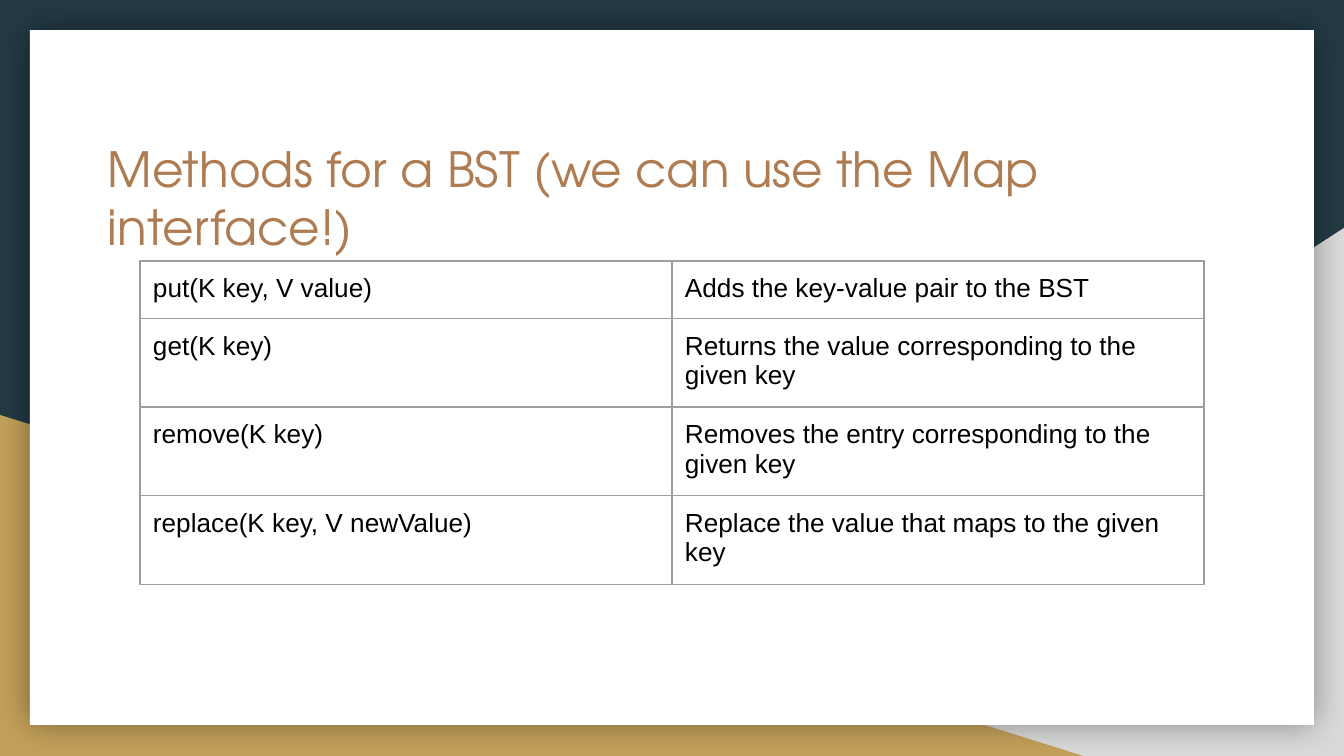
"""Build a slide that lists the map methods of a binary search tree."""
from dataclasses import dataclass

from lxml.etree import SubElement
from pptx import Presentation
from pptx.dml.color import RGBColor
from pptx.enum.shapes import MSO_SHAPE
from pptx.enum.text import MSO_ANCHOR
from pptx.oxml import parse_xml
from pptx.oxml.ns import nsdecls, qn
from pptx.slide import Slide
from pptx.util import Emu, Pt

SCALE = 914400 / 134.4
INSET = 13
GREY = "9E9E9E"
TITLE = {"name": "TeX Gyre Adventor", "size": Pt(26), "bold": False}
BODY = {"name": "Arial", "size": Pt(14), "bold": False}


@dataclass(frozen=True)
class Box:
    """Place on the slide, in pixels."""
    left: int
    top: int
    width: int
    height: int


@dataclass(frozen=True)
class Panel:
    """Filled shape of the backdrop."""
    kind: MSO_SHAPE
    box: Box
    fill: str
    flip: bool = False
    glow: bool = False


@dataclass(frozen=True)
class Method:
    """Table row with a call and its meaning."""
    call: str
    note: str
    height: int = 87


PANELS = (
    Panel(MSO_SHAPE.RIGHT_TRIANGLE, Box(527, 228, 817, 528), "D9D9D9", flip=True),
    Panel(MSO_SHAPE.RIGHT_TRIANGLE, Box(0, 415, 1083, 341), "C4A15A"),
    Panel(MSO_SHAPE.RECTANGLE, Box(30, 30, 1284, 695), "FFFFFF", glow=True),
)
METHODS = (
    Method("put(K key, V value)", "Adds the key-value pair to the BST", 57),
    Method("get(K key)", "Returns the value corresponding to the given key"),
    Method("remove(K key)", "Removes the entry corresponding to the given key"),
    Method("replace(K key, V newValue)", "Replace the value that maps to the given key"),
)


def px(count: int) -> Emu:
    """Turn pixels into EMU."""
    return Emu(round(count * SCALE))


def place(box: Box) -> tuple[Emu, ...]:
    """Give the four lengths of a box in EMU."""
    return tuple(map(px, (box.left, box.top, box.width, box.height)))


def tint(code: str) -> RGBColor:
    """Turn a hex string into a colour."""
    return RGBColor.from_string(code)


def assign(target, values: dict) -> None:
    """Set each named value on the target."""
    for name, value in values.items():
        setattr(target, name, value)


def write(frame, text: str, form: dict, code: str) -> None:
    """Fill a text frame with one styled run."""
    sides = ("left", "right", "top", "bottom")
    assign(frame, {f"margin_{side}": px(INSET) for side in sides})
    frame.word_wrap = True
    run = frame.paragraphs[0].add_run()
    run.text = text
    assign(run.font, form)
    run.font.color.rgb = tint(code)


def shade(shape) -> None:
    """Put a soft black shadow around a shape."""
    props = shape._element.spPr
    effect = props.find(qn("a:effectLst"))
    outer = SubElement(effect, qn("a:outerShdw"), blurRad=str(Pt(18)), dist="0",
                       dir="0", algn="ctr", rotWithShape="0")
    color = SubElement(outer, qn("a:srgbClr"), val="000000")
    SubElement(color, qn("a:alpha"), val="40000")


def draw(slide: Slide, panel: Panel) -> None:
    """Draw one panel of the backdrop."""
    shape = slide.shapes.add_shape(panel.kind, *place(panel.box))
    shape.shadow.inherit = False
    shape.fill.solid()
    shape.fill.fore_color.rgb = tint(panel.fill)
    shape.line.fill.background()
    if panel.flip:
        shape._element.spPr.find(qn("a:xfrm")).set("flipH", "1")
    if panel.glow:
        shade(shape)


def frame(cell) -> None:
    """Give a cell four thin grey borders."""
    props = cell._tc.get_or_add_tcPr()
    for spot, side in enumerate("LRTB"):
        props.insert(spot, parse_xml(
            f'<a:ln{side} {nsdecls("a")} w="{Pt(0.75)}"><a:solidFill>'
            f'<a:srgbClr val="{GREY}"/></a:solidFill></a:ln{side}>'))


def head(slide: Slide, text: str) -> None:
    """Write the slide title."""
    area = slide.shapes.add_textbox(*place(Box(95, 126, 1153, 140))).text_frame
    area.vertical_anchor = MSO_ANCHOR.TOP
    write(area, text, TITLE, "AF7B51")


def grid(slide: Slide, methods: tuple[Method, ...]) -> None:
    """Draw the table of methods."""
    box = Box(140, 261, 1064, sum(item.height for item in methods))
    table = slide.shapes.add_table(len(methods), 2, *place(box)).table
    assign(table, {"first_row": False, "horz_banding": False})
    for row, item in zip(table.rows, methods):
        row.height = px(item.height)
        for cell, text in zip(row.cells, (item.call, item.note)):
            cell.fill.background()
            frame(cell)
            sides = ("left", "right", "top", "bottom")
            assign(cell, {f"margin_{side}": px(INSET) for side in sides})
            run = cell.text_frame.paragraphs[0].add_run()
            run.text = text
            assign(run.font, BODY)
            run.font.color.rgb = tint("000000")


def main() -> None:
    """Build and save the slide."""
    deck = Presentation()
    assign(deck, {"slide_width": px(1344), "slide_height": px(756)})
    slide = deck.slides.add_slide(deck.slide_layouts[6])
    slide.background.fill.solid()
    slide.background.fill.fore_color.rgb = tint("233A44")
    for panel in PANELS:
        draw(slide, panel)
    head(slide, "Methods for a BST (we can use the Map interface!)")
    grid(slide, METHODS)
    deck.save("out.pptx")


main()
